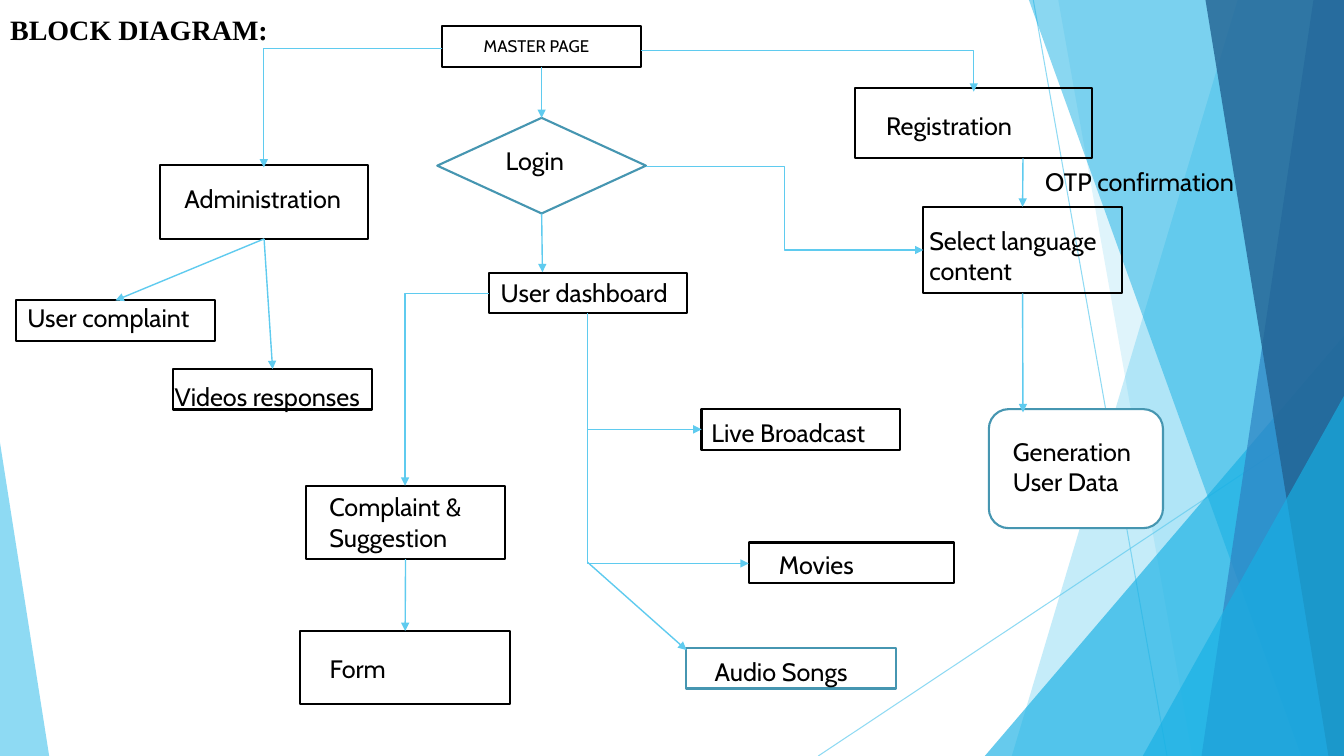
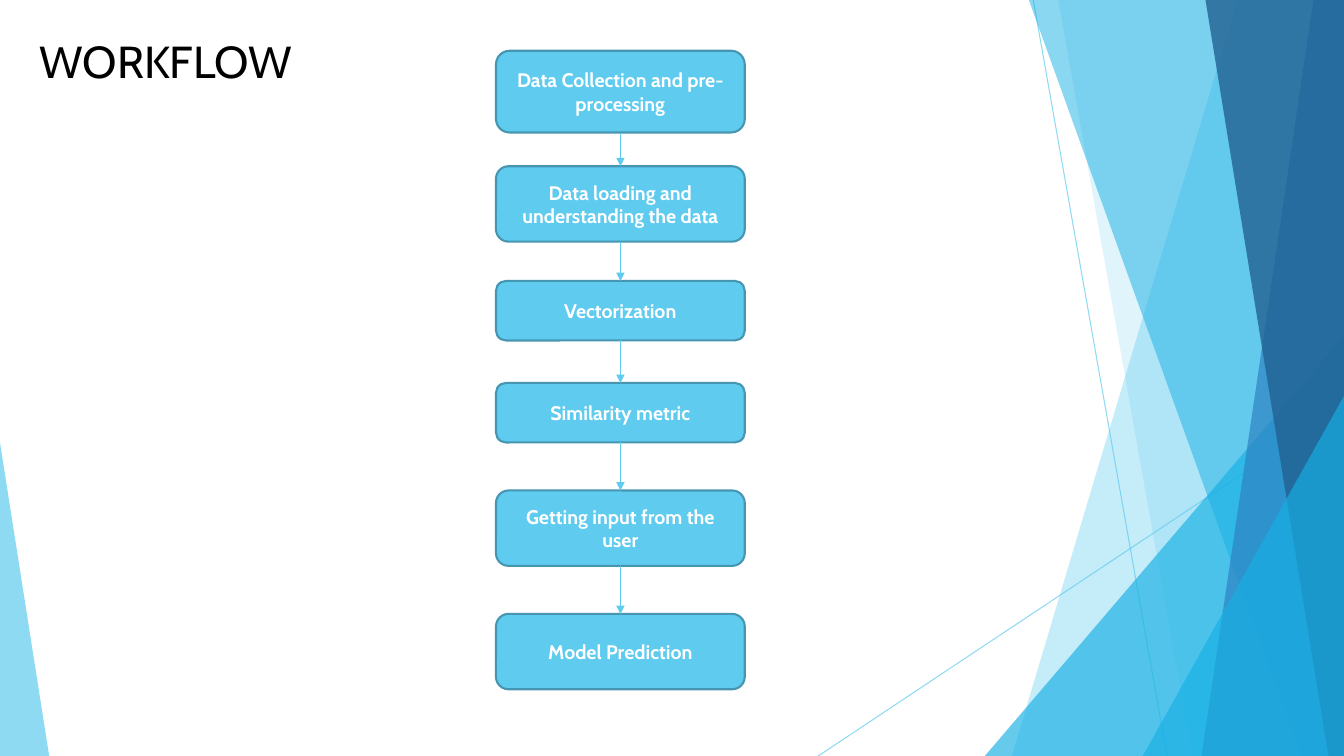
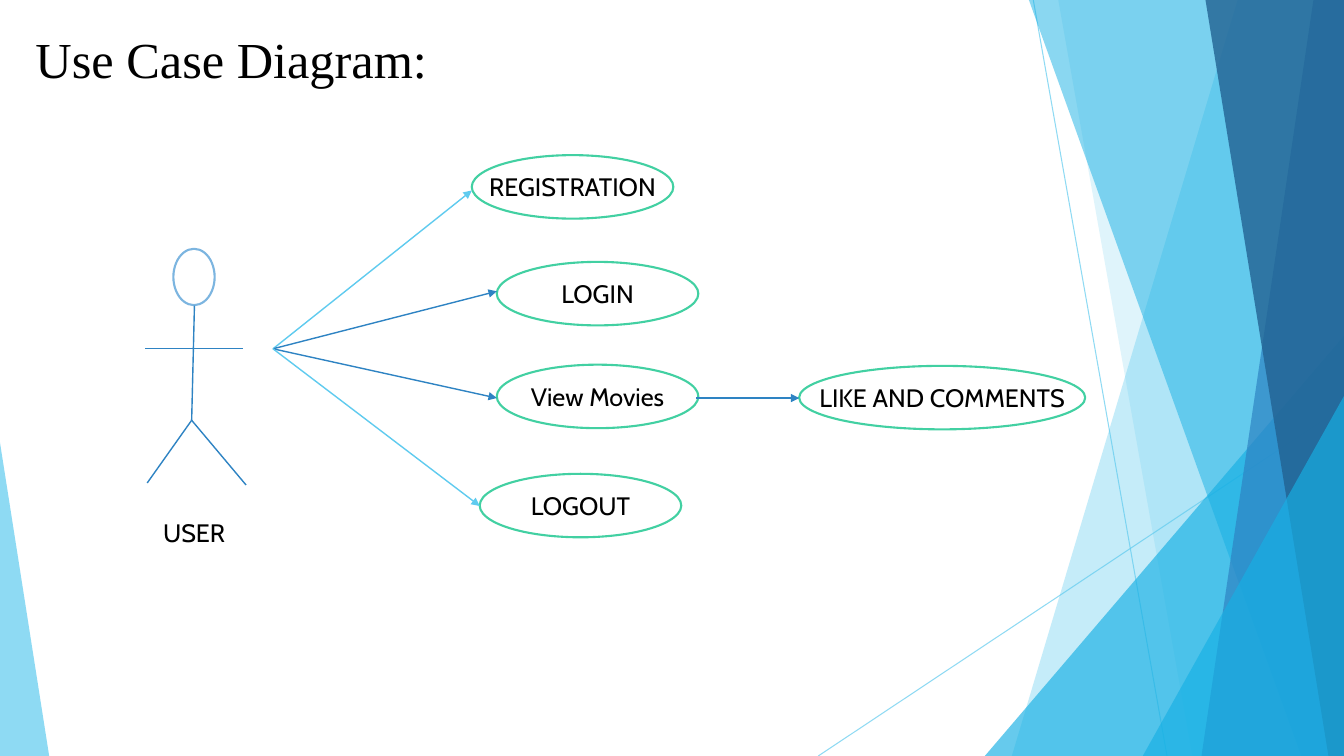
from dataclasses import dataclass
from itertools import pairwise
from typing import NamedTuple

from lxml.etree import SubElement
from pptx import Presentation
from pptx.dml.color import RGBColor
from pptx.enum.shapes import MSO_CONNECTOR, MSO_SHAPE
from pptx.enum.text import MSO_ANCHOR, PP_ALIGN
from pptx.oxml.ns import qn
from pptx.util import Cm, Pt

WIDE, HIGH = 33.87, 19.05
SKY, AZURE, BLUE, NAVY = "5FCBEF", "17B0E4", "2E83C3", "226292"
TEAL, GREEN, PALE = "4696B1", "42D0A2", "7CB5E0"
BLACK, WHITE = "000000", "FFFFFF"
SANS, SERIF = "Cabin", "Times New Roman"


class Area(NamedTuple):
    left: float
    top: float
    width: float
    height: float


class Point(NamedTuple):
    x: float
    y: float


class Port(NamedTuple):
    """A connection site of a shape: 0 top, 1 left, 2 bottom, 3 right."""
    shape: object
    side: int


@dataclass
class Band:
    """A slanted band that runs to the right edge of the slide."""
    top: float
    foot: float
    color: str
    alpha: int


@dataclass
class Wedge:
    """A triangle that stands on the bottom edge of the slide."""
    left: float
    top: float
    right: float
    apex: float
    color: str
    alpha: int


@dataclass
class Node:
    """A shape of the block diagram, with its text inset from the left and top."""
    text: str
    area: Area
    dx: float
    dy: float
    line: str = BLACK
    fill: str = ""
    kind: MSO_SHAPE = MSO_SHAPE.RECTANGLE
    size: int = 18


@dataclass
class Step:
    text: str
    top: float
    height: float


@dataclass
class Case:
    text: str
    left: float
    top: float
    width: float = 5.08


DECOR = [
    Band(31.19, 25.5, SKY, 36),
    Band(26.67, 30.05, SKY, 20),
    Wedge(24.82, 8.46, WIDE, 1, AZURE, 66),
    Band(25.93, 32.79, AZURE, 50),
    Band(33.1, 30.28, BLUE, 70),
    Band(30.38, 33.48, NAVY, 80),
    Wedge(28.8, 9.98, WIDE, 1, AZURE, 66),
    Wedge(0, 11.15, 1.24, 0, SKY, 70),
]

NODES = {
    "master": Node("MASTER PAGE", Area(11.15, 0.66, 5, 1.02), 1.04, 0.23, size=12),
    "select": Node("Select language content", Area(23.27, 5.21, 5, 2.18), 0.15, 0.46),
    "board": Node("User dashboard", Area(12.32, 6.88, 5, 1.02), 0.3, 0.1),
    "movies": Node("Movies", Area(18.87, 13.67, 5.18, 1.02), 0.76, 0.18),
    "live": Node("Live Broadcast", Area(17.68, 10.31, 5, 1.02), 0.25, 0.2),
    "register": Node("Registration", Area(21.54, 2.21, 5.99, 1.78), 0.79, 0.56),
    "admin": Node("Administration", Area(4.04, 4.17, 5.23, 1.85), 0.61, 0.46),
    "report": Node("User complaint", Area(0.41, 7.57, 5, 1.02), 0.28, 0.05),
    "videos": Node("Videos responses", Area(4.37, 9.3, 5, 1.02), 0.03, 0.3),
    "form": Node("Form", Area(7.57, 15.9, 5.28, 1.85), 0.74, 0.56),
    "suggest": Node("Complaint &\nSuggestion", Area(7.72, 12.24, 5, 1.85), 0.58, 0.15),
    "login": Node("Login", Area(11.02, 2.97, 5.26, 2.41), 0.41, 0.08, TEAL,
                  kind=MSO_SHAPE.DIAMOND),
    "data": Node("Generation\nUser Data", Area(24.92, 10.31, 4.39, 3), 0.46, 0.53,
                 TEAL, WHITE, MSO_SHAPE.FLOWCHART_ALTERNATE_PROCESS),
    "audio": Node("Audio Songs", Area(17.3, 16.33, 5.28, 1.02), 0.71, 0.2, TEAL, WHITE),
}

STEPS = [
    Step("Data Collection and pre-processing", 1.28, 2.06),
    Step("Data loading and understanding the data", 4.19, 1.9),
    Step("Vectorization", 7.08, 1.5),
    Step("Similarity metric", 9.65, 1.5),
    Step("Getting input from the user", 12.36, 1.9),
    Step("Model Prediction", 15.47, 1.9),
]

CASES = [
    Case("REGISTRATION", 11.89, 3.91),
    Case("LOGIN", 12.52, 6.6),
    Case("View Movies", 12.52, 9.19),
    Case("LOGOUT", 12.09, 11.94),
    Case("LIKE AND COMMENTS", 20.14, 9.22, 7.21),
]


def paint(target, color: str, alpha: int = 100) -> None:
    """Give a fill a solid colour, with its opacity in percent."""
    target.solid()
    target.fore_color.rgb = RGBColor.from_string(color)
    if alpha < 100:
        tint = target._xPr.find(qn("a:solidFill"))[0]
        SubElement(tint, qn("a:alpha"), val=str(alpha * 1000))


def finish(shape, fill: str, line: str, alpha: int = 100) -> None:
    """Set fill and outline; an empty colour means none."""
    shape.shadow.inherit = False
    if fill:
        paint(shape.fill, fill, alpha)
    else:
        shape.fill.background()
    if line:
        paint(shape.line.fill, line)
        shape.line.width = Pt(1.5)
    else:
        shape.line.fill.background()


def draw(slide, kind: MSO_SHAPE, area: Area, fill: str = "", line: str = "", alpha: int = 100):
    shape = slide.shapes.add_shape(kind, *map(Cm, area))
    finish(shape, fill, line, alpha)
    return shape


def write(frame, text: str, size: int, color: str = BLACK, font: str = SANS,
          bold: bool = False, align=PP_ALIGN.LEFT, anchor=MSO_ANCHOR.TOP) -> None:
    frame.text = text
    frame.word_wrap = True
    frame.vertical_anchor = anchor
    for para in frame.paragraphs:
        para.alignment = align
        para.font.size = Pt(size)
        para.font.name = font
        para.font.bold = bold
        para.font.color.rgb = RGBColor.from_string(color)


def label(slide, text: str, area: Area) -> None:
    write(slide.shapes.add_textbox(*map(Cm, area)).text_frame, text, 18)


def link(slide, start: Point | Port, stop: Point | Port, color: str = SKY,
         width: float = 1, arrow: str = "tailEnd", bend: str = "", alpha: int = 100) -> None:
    """Draw a connector; bend names an elbow preset, arrow the end that has a head."""
    kind = MSO_CONNECTOR.ELBOW if bend else MSO_CONNECTOR.STRAIGHT
    ends = [spot if isinstance(spot, Point) else Point(0, 0) for spot in (start, stop)]
    wire = slide.shapes.add_connector(kind, *(Cm(value) for end in ends for value in end))
    if isinstance(start, Port):
        wire.begin_connect(*start)
    if isinstance(stop, Port):
        wire.end_connect(*stop)
    wire.line.width = Pt(width)
    paint(wire.line.fill, color, alpha)
    props = wire.element.spPr
    if bend:
        props.find(qn("a:prstGeom")).set("prst", bend)
    if arrow:
        SubElement(props.find(qn("a:ln")), qn(f"a:{arrow}"), type="triangle")
    SubElement(props, qn("a:effectLst"))


def decorate(slide, layout) -> None:
    """Draw the backdrop on a slide, then move it to the layout that all slides use."""
    for item in list(layout.placeholders):
        if item.placeholder_format.idx:
            item.element.getparent().remove(item.element)
    old = len(slide.shapes)
    for start, stop in ((Point(26.04, 0), Point(29.41, HIGH)),
                        (Point(WIDE, 10.24), Point(20.62, HIGH))):
        link(slide, start, stop, width=0.75, arrow="", alpha=70)
    for part in DECOR:
        if isinstance(part, Band):
            pen = slide.shapes.build_freeform(Cm(part.top), 0)
            pen.add_line_segments([(Cm(WIDE), 0), (Cm(WIDE), Cm(HIGH)),
                                   (Cm(part.foot), Cm(HIGH))])
            finish(pen.convert_to_shape(), part.color, "", part.alpha)
        else:
            area = Area(part.left, part.top, part.right - part.left, HIGH - part.top)
            shape = draw(slide, MSO_SHAPE.ISOSCELES_TRIANGLE, area, part.color,
                         alpha=part.alpha)
            shape.adjustments[0] = part.apex
    for place, shape in enumerate(list(slide.shapes)[old:], 2):
        layout.shapes.element.insert(place, shape.element)


def begin(deck, text: str, area: Area, size: int, font: str, bold: bool = False):
    """Add a slide with its title."""
    slide = deck.slides.add_slide(deck.slide_layouts[5])
    title = slide.shapes.title
    title.left, title.top, title.width, title.height = map(Cm, area)
    write(title.text_frame, text, size, font=font, bold=bold)
    return slide


def blocks(slide) -> None:
    shapes = {}
    for name, node in NODES.items():
        shape = shapes[name] = draw(slide, node.kind, node.area, node.fill, node.line)
        frame = shape.text_frame
        write(frame, node.text, node.size)
        frame.margin_left, frame.margin_top = Cm(node.dx), Cm(node.dy)
        frame.margin_right = frame.margin_bottom = 0
    label(slide, "OTP confirmation", Area(26.09, 4.06, 5.56, 1.02))

    for upper, lower in (("master", "login"), ("admin", "report"),
                         ("admin", "videos"), ("suggest", "form")):
        link(slide, Port(shapes[upper], 2), Port(shapes[lower], 0))
    for start, stop in (
        (Point(14.81, 10.82), Port(shapes["live"], 1)),
        (Point(25.78, 3.99), Port(shapes["select"], 0)),
        (Port(shapes["login"], 2), Point(13.67, 6.86)),
        (Port(shapes["select"], 2), Point(25.78, 10.39)),
        (Point(14.81, 14.17), Point(17.3, 16.38)),
    ):
        link(slide, start, stop)
    for start, stop in ((Point(16.15, 1.27), Point(24.54, 2.31)),
                        (Point(12.32, 7.39), Point(10.21, 12.24)),
                        (Point(11.15, 1.22), Point(6.65, 4.22))):
        link(slide, start, stop, bend="bentConnector2")
    link(slide, Point(18.87, 14.2), Point(14.81, 7.9), arrow="headEnd", bend="bentConnector2")
    link(slide, Point(16.28, 4.19), Point(23.27, 6.3), bend="bentConnector3")


def flow(slide) -> None:
    shapes = []
    for step in STEPS:
        area = Area(12.5, step.top, 6.27, step.height)
        shape = draw(slide, MSO_SHAPE.ROUNDED_RECTANGLE, area, SKY, TEAL)
        write(shape.text_frame, step.text, 14, WHITE, bold=True,
              align=PP_ALIGN.CENTER, anchor=MSO_ANCHOR.MIDDLE)
        shapes.append(shape)
    for upper, lower in pairwise(shapes):
        link(slide, Port(upper, 2), Port(lower, 0))


def cases(slide) -> None:
    hip, hand = Point(4.83, 10.59), Point(6.88, 8.79)
    draw(slide, MSO_SHAPE.OVAL, Area(4.37, 6.27, 1.04, 1.42), WHITE, PALE)
    for start, stop in ((Point(4.9, 7.7), hip), (hip, Point(3.71, 12.17)),
                        (hip, Point(6.2, 12.22)), (Point(3.66, 8.79), Point(6.12, 8.79))):
        link(slide, start, stop, BLUE, arrow="")
    label(slide, "USER", Area(3.86, 12.9, 3.28, 1.02))

    for case in CASES:
        area = Area(case.left, case.top, case.width, 1.6)
        frame = draw(slide, MSO_SHAPE.OVAL, area, WHITE, GREEN).text_frame
        write(frame, case.text, 18, align=PP_ALIGN.CENTER, anchor=MSO_ANCHOR.MIDDLE)
        frame.word_wrap = False
        frame.margin_left = frame.margin_right = 0
        frame.margin_top = frame.margin_bottom = 0
    for stop, color in ((Point(11.89, 4.8), SKY), (Point(12.52, 7.34), BLUE),
                        (Point(12.52, 10.03), BLUE), (Point(12.09, 12.75), SKY)):
        link(slide, hand, stop, color)
    link(slide, Point(17.55, 10.03), Point(20.14, 10.03), BLUE)


def main() -> None:
    deck = Presentation()
    deck.slide_width, deck.slide_height = Cm(WIDE), Cm(HIGH)
    first = begin(deck, "BLOCK DIAGRAM:", Area(0, 0.2, 10.64, 1.12), 20, SERIF, True)
    decorate(first, deck.slide_layouts[5])
    blocks(first)
    flow(begin(deck, "WORKFLOW", Area(0.74, 0.71, 9.04, 1.63), 32, SANS))
    cases(begin(deck, "Use Case Diagram:", Area(0.64, 0.58, 13.87, 1.8), 36, SERIF))
    deck.save("out.pptx")


if __name__ == "__main__":
    main()
